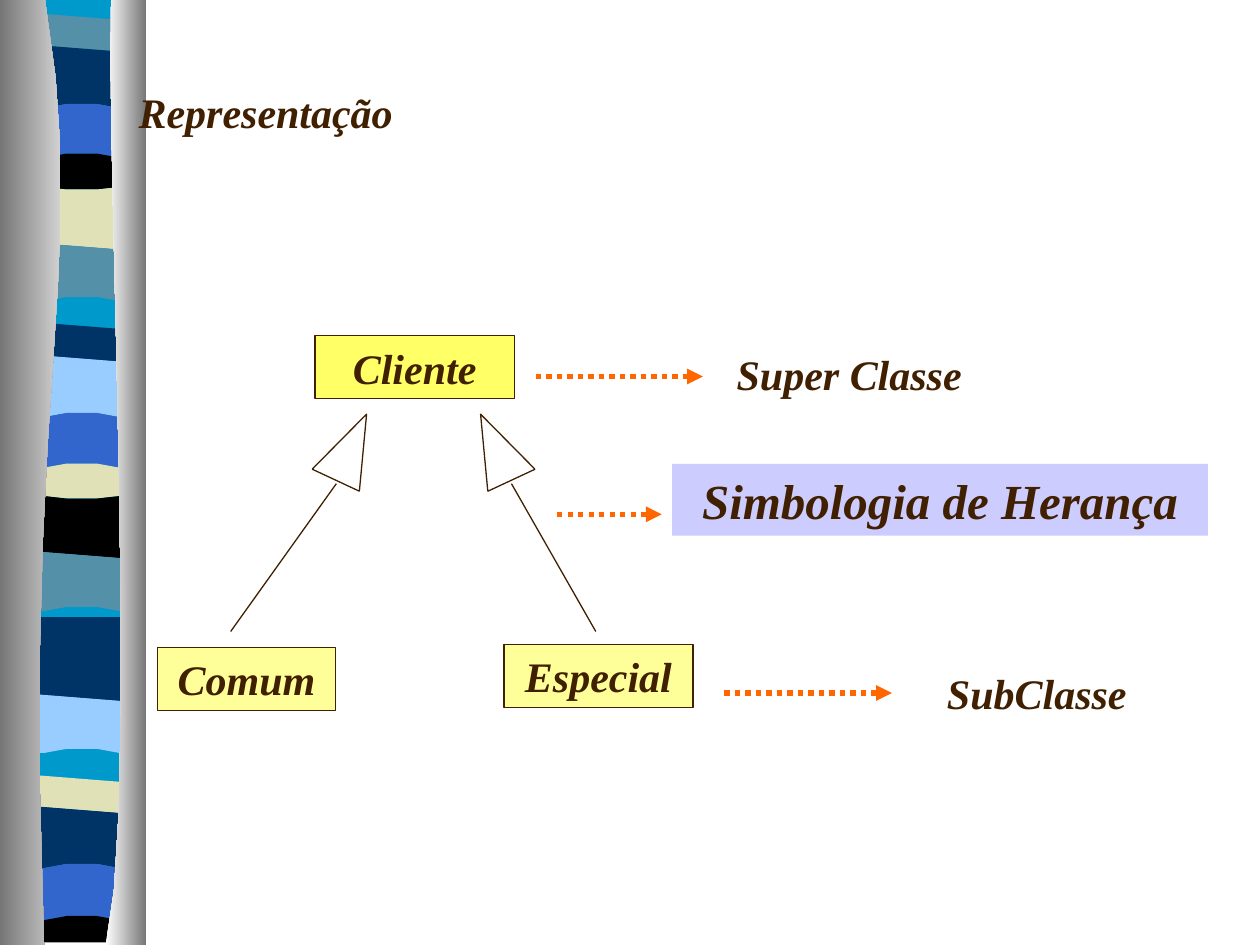
from dataclasses import dataclass

from pptx import Presentation
from pptx.dml.color import RGBColor
from pptx.enum.dml import MSO_LINE_DASH_STYLE as Dash
from pptx.enum.shapes import MSO_CONNECTOR as Connector, MSO_SHAPE as Shape
from pptx.enum.text import MSO_ANCHOR as Anchor, MSO_AUTO_SIZE as AutoSize, PP_ALIGN as Align
from pptx.oxml.ns import qn
from pptx.util import Cm, Pt
from lxml.etree import SubElement


@dataclass(frozen=True)
class Theme:
    font: str = "Times New Roman"
    text_size: int = 24
    key_size: int = 28
    ink: str = "402000"
    accent: str = "FF6600"
    superclass: str = "FFFF66"
    subclass: str = "FFFF99"
    key: str = "CCCCFF"
    metal_dark: str = "767676"
    metal_mid: str = "D2D2D2"
    metal_light: str = "FFFFFF"
    cyan: str = "0099CC"
    teal: str = "5490A8"
    navy: str = "003366"
    blue: str = "3366CC"
    black: str = "000000"
    sand: str = "E1E1B7"
    sky: str = "99CCFF"
    line_width: float = 0.74
    arrow_width: float = 3


THEME = Theme()

# Wave shapes of the band edges: (slope, bend) in cm
FLAT, SLOPE, CREST, DIP = (0, 0), (0.06, 0), (0, 0.1), (0, -0.06)

# Bands from top to bottom: colour, height of the upper edge in cm, wave.
# A band without colour lets the cyan base show.
BANDS = [
    (THEME.teal, 0.34, SLOPE), (THEME.navy, 0.98, SLOPE), (THEME.blue, 2.08, CREST),
    (THEME.black, 3.08, CREST), (THEME.sand, 3.83, DIP), (THEME.teal, 4.97, SLOPE),
    (None, 5.97, CREST), (THEME.navy, 6.57, SLOPE), (THEME.sky, 7.23, SLOPE),
    (THEME.blue, 8.31, CREST), (THEME.sand, 9.33, CREST), (THEME.black, 10.06, DIP),
    (THEME.teal, 11.19, SLOPE), (None, 12.22, CREST), (THEME.navy, 12.44, FLAT),
    (THEME.sky, 14.07, SLOPE), (None, 15.08, CREST), (THEME.sand, 15.7, SLOPE),
    (THEME.navy, 16.33, SLOPE), (THEME.blue, 17.4, CREST), (THEME.black, 18.45, CREST),
    (None, 19, FLAT),
]
BAND_LEFT, BAND_RIGHT, BAND_CENTRE, BAND_REACH = 0.13, 2.9, 1.65, 0.76


def rgb(colour):
    return RGBColor.from_string(colour)


def wave_edge(height, wave):
    """Points of a band edge, from left to right."""
    slope, bend = wave
    inner = [BAND_CENTRE + BAND_REACH * u for u in (-1, -0.4, 0.4, 1)] if bend else []
    points = []
    for x in [BAND_LEFT, *inner, BAND_RIGHT]:
        u = (x - BAND_CENTRE) / BAND_REACH
        points.append((x, height + slope * u + bend * min(1, u * u)))
    return points


def bezier(*corners, steps=10):
    """Points along a cubic curve."""
    points = []
    for step in range(steps + 1):
        t = step / steps
        weights = ((1 - t) ** 3, 3 * t * (1 - t) ** 2, 3 * t * t * (1 - t), t ** 3)
        points.append(tuple(sum(w * c[axis] for w, c in zip(weights, corners)) for axis in (0, 1)))
    return points


def add_outline(slide, points):
    """Draw a closed outline and hand it to the layout, behind the content."""
    corners = [(Cm(x), Cm(y)) for x, y in points]
    builder = slide.shapes.build_freeform(*corners[0])
    builder.add_line_segments(corners[1:], close=True)
    outline = builder.convert_to_shape()
    outline.shadow.inherit = False
    outline.line.fill.background()
    layout_tree = slide.slide_layout.shapes._spTree
    outline._element.nvSpPr.cNvPr.id = 100 + len(layout_tree)
    layout_tree.append(outline._element)
    return outline


def add_stripe(slide, colour, upper_edge, lower_edge):
    stripe = add_outline(slide, upper_edge + lower_edge[::-1])
    stripe.fill.solid()
    stripe.fill.fore_color.rgb = rgb(colour)


def add_bands(slide):
    add_stripe(slide, THEME.cyan, wave_edge(0, FLAT), wave_edge(19, FLAT))
    for (colour, *upper), (_, *lower) in zip(BANDS, BANDS[1:]):
        if colour:
            add_stripe(slide, colour, wave_edge(*upper), wave_edge(*lower))


def add_column(slide, curve, outer_x, colours):
    points = bezier(*curve) + [(outer_x, 19.05), (outer_x, 0)]
    column = add_outline(slide, points)
    column.fill.gradient()
    column.fill.gradient_angle = 0
    for stop, colour, position in zip(column.fill.gradient_stops, colours, (0, 1)):
        stop.color.rgb = rgb(colour)
        stop.position = position


def write(holder, text, size=THEME.text_size, align=Align.LEFT):
    frame = holder.text_frame
    frame.text = text
    frame.word_wrap = True
    frame.auto_size = AutoSize.NONE
    frame.vertical_anchor = Anchor.MIDDLE
    paragraph = frame.paragraphs[0]
    paragraph.alignment = align
    font = paragraph.font
    font.name, font.size = THEME.font, Pt(size)
    font.bold = font.italic = True
    font.color.rgb = rgb(THEME.ink)


def add_title(slide, text, *place):
    title = slide.shapes.title
    title.left, title.top, title.width, title.height = map(Cm, place)
    write(title, text)


def add_label(slide, text, *place):
    write(slide.shapes.add_textbox(*map(Cm, place)), text)


def set_line(line, colour=THEME.ink, width=THEME.line_width):
    line.color.rgb = rgb(colour)
    line.width = Pt(width)


def add_box(slide, text, fill, *place, size=THEME.text_size, outlined=True):
    box = slide.shapes.add_shape(Shape.RECTANGLE, *map(Cm, place))
    box.shadow.inherit = False
    box.fill.solid()
    box.fill.fore_color.rgb = rgb(fill)
    if outlined:
        set_line(box.line)
    else:
        box.line.fill.background()
    write(box, text, size, Align.CENTER)


def add_line(slide, *ends):
    link = slide.shapes.add_connector(Connector.STRAIGHT, *map(Cm, ends))
    set_line(link.line)
    SubElement(link._element.spPr, qn("a:effectLst"))
    return link


def add_dotted_arrow(slide, left, right, y):
    arrow = add_line(slide, left, y, right, y)
    set_line(arrow.line, THEME.accent, THEME.arrow_width)
    arrow.line.dash_style = Dash.ROUND_DOT
    SubElement(arrow.line._get_or_add_ln(), qn("a:tailEnd"), type="triangle")


def add_inheritance(slide, head_left, rotation, *stem):
    head = slide.shapes.add_shape(Shape.UP_ARROW, Cm(head_left), Cm(8.28), Cm(1.04), Cm(1.47))
    head.adjustments[0], head.adjustments[1] = 1, 1.4
    head.rotation = rotation
    head.shadow.inherit = False
    head.fill.background()
    set_line(head.line)
    add_line(slide, *stem)


def main():
    deck = Presentation()
    deck.slide_width, deck.slide_height = Cm(25.4), Cm(19.05)
    slide = deck.slides.add_slide(deck.slide_layouts.get_by_name("Title Only"))

    # Decorated left margin
    add_bands(slide)
    add_column(slide, ((0.91, 0), (1.83, 5.49), (0.43, 7.52), (0.89, 19.05)), 0,
               (THEME.metal_dark, THEME.metal_mid))
    add_column(slide, ((2.24, 0), (2.13, 3.18), (2.82, 16.41), (2.13, 19.05)), 2.95,
               (THEME.metal_light, THEME.metal_dark))

    add_title(slide, "Representação", 2.54, 1.61, 7.62, 1.27)

    # Explanations
    add_dotted_arrow(slide, 10.8, 14.17, 7.59)
    add_label(slide, "Super Classe", 14.6, 6.9, 5.72, 1.27)
    add_dotted_arrow(slide, 14.6, 17.98, 13.97)
    add_label(slide, "SubClasse", 18.84, 13.33, 4.22, 1.27)
    add_dotted_arrow(slide, 11.23, 13.34, 10.37)
    add_box(slide, "Simbologia de Herança", THEME.key, 13.55, 9.35, 10.8, 1.45,
            size=THEME.key_size, outlined=False)

    # Class diagram
    add_box(slide, "Cliente", THEME.superclass, 6.35, 6.77, 4.02, 1.27)
    add_box(slide, "Comum", THEME.subclass, 3.18, 13.05, 3.58, 1.27)
    add_box(slide, "Especial", THEME.subclass, 10.16, 12.99, 3.81, 1.27)
    add_inheritance(slide, 6.56, 25, 6.78, 9.75, 4.65, 12.73)
    add_inheritance(slide, 9.48, 335, 10.31, 9.75, 12.01, 12.73)

    deck.save("out.pptx")


main()
